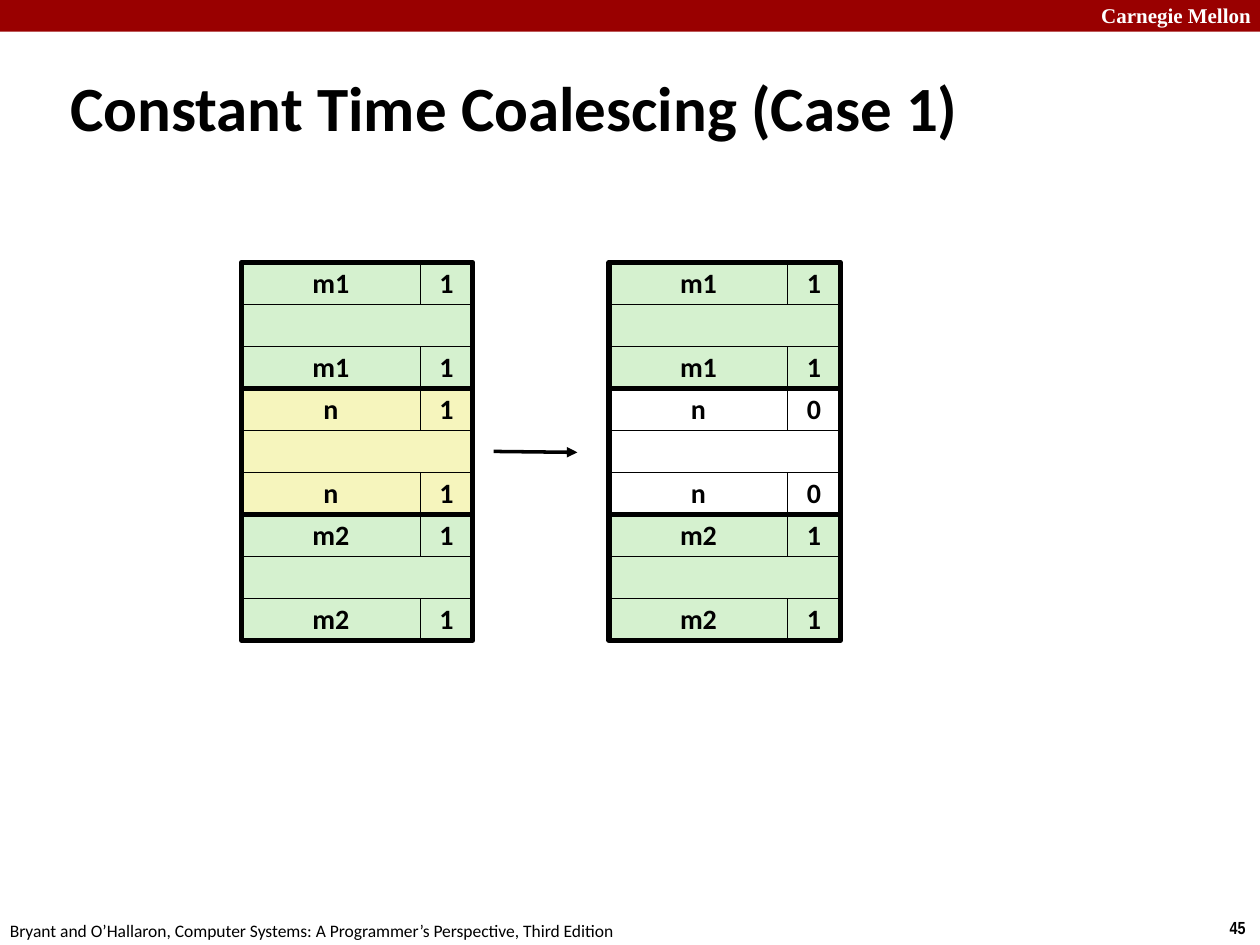
import pptx
import pptx.dml.color
import pptx.enum.shapes
import pptx.enum.text
import pptx.oxml
import pptx.oxml.ns
import pptx.util

Cm = pptx.util.Cm
Pt = pptx.util.Pt
RGBColor = pptx.dml.color.RGBColor
Align = pptx.enum.text.PP_ALIGN
Anchor = pptx.enum.text.MSO_ANCHOR

BLACK = RGBColor(0x00, 0x00, 0x00)
WHITE = RGBColor(0xFF, 0xFF, 0xFF)
BANNER_RED = RGBColor(0x99, 0x00, 0x00)
NEIGHBOUR_GREEN = RGBColor(0xD5, 0xF1, 0xCF)
FREED_YELLOW = RGBColor(0xF6, 0xF5, 0xBD)

HEAP_TOP = 5.29
BLOCK_HEIGHT = 2.54
ROW_HEIGHT = BLOCK_HEIGHT / 3
SIZE_WIDTH = 3.6
FLAG_WIDTH = 1.06
BLOCK_WIDTH = SIZE_WIDTH + FLAG_WIDTH


def write_text(frame, text, size=16, font="Calibri", color=BLACK, bold=True,
               align=Align.LEFT, anchor=Anchor.TOP, wrap=False, spacing=None):
    frame.word_wrap = wrap
    frame.vertical_anchor = anchor
    line = frame.paragraphs[0]
    line.alignment = align
    line.line_spacing = spacing
    run = line.add_run()
    run.text = text
    run.font.size = Pt(size)
    run.font.name = font
    run.font.bold = bold
    run.font.color.rgb = color


def add_label(slide, left, top, width, height, text, **text_format):
    label = slide.shapes.add_textbox(Cm(left), Cm(top), Cm(width), Cm(height))
    write_text(label.text_frame, text, **text_format)


def add_box(slide, left, top, width, height, fill=None, line_width=None):
    box = slide.shapes.add_shape(pptx.enum.shapes.MSO_SHAPE.RECTANGLE,
                                 Cm(left), Cm(top), Cm(width), Cm(height))
    box.shadow.inherit = False
    if fill is None:
        box.fill.background()
    else:
        box.fill.solid()
        box.fill.fore_color.rgb = fill
    if line_width is None:
        box.line.fill.background()
    else:
        box.line.color.rgb = BLACK
        box.line.width = Pt(line_width)
    return box


def add_block(slide, left, top, size, flag, fill):
    for row in (0, 2):
        row_top = top + row * ROW_HEIGHT
        for cell_left, width, text in ((left, SIZE_WIDTH, size),
                                       (left + SIZE_WIDTH, FLAG_WIDTH, flag)):
            cell = add_box(slide, cell_left, row_top, width, ROW_HEIGHT, fill, 0.25)
            write_text(cell.text_frame, text, align=Align.CENTER,
                       anchor=Anchor.MIDDLE, spacing=0.98)
    add_box(slide, left, top + ROW_HEIGHT, BLOCK_WIDTH, ROW_HEIGHT, fill, 0.25)
    add_box(slide, left, top, BLOCK_WIDTH, BLOCK_HEIGHT, line_width=3)


def add_heap(slide, left, middle_flag, middle_fill):
    blocks = (("m1", "1", NEIGHBOUR_GREEN),
              ("n", middle_flag, middle_fill),
              ("m2", "1", NEIGHBOUR_GREEN))
    for index, (size, flag, fill) in enumerate(blocks):
        add_block(slide, left, HEAP_TOP + index * BLOCK_HEIGHT, size, flag, fill)


def add_arrow(slide, start_x, start_y, end_x, end_y):
    arrow = slide.shapes.add_connector(
        pptx.enum.shapes.MSO_CONNECTOR.STRAIGHT,
        Cm(start_x), Cm(start_y), Cm(end_x), Cm(end_y))
    arrow.line.color.rgb = BLACK
    arrow.line.width = Pt(2)
    head = pptx.oxml.parse_xml(
        '<a:tailEnd %s type="triangle"/>' % pptx.oxml.ns.nsdecls("a"))
    arrow.line._get_or_add_ln().append(head)
    no_effects = pptx.oxml.parse_xml(
        "<a:effectLst %s/>" % pptx.oxml.ns.nsdecls("a"))
    arrow._element.spPr.append(no_effects)


def main():
    deck = pptx.Presentation()
    deck.slide_width = Cm(25.4)
    deck.slide_height = Cm(19.05)
    slide = deck.slides.add_slide(deck.slide_layouts[6])

    add_box(slide, 0, 0, 25.4, 0.64, BANNER_RED)
    add_label(slide, 21.95, -0.08, 3.63, 0.76, "Carnegie Mellon", size=12,
              font="Times New Roman", color=WHITE, wrap=True)
    add_label(slide, 1.17, 1.35, 23.06, 1.6, "Constant Time Coalescing (Case 1)",
              size=36, anchor=Anchor.MIDDLE, wrap=True)

    add_heap(slide, 4.87, "1", FREED_YELLOW)
    add_heap(slide, 12.28, "0", WHITE)
    add_arrow(slide, 9.95, 9.1, 11.64, 9.12)

    add_label(slide, -0.05, 18.42, 12.9, 0.69,
              "Bryant and O’Hallaron, Computer Systems: "
              "A Programmer’s Perspective, Third Edition",
              size=10, bold=False)
    add_label(slide, 24.54, 18.36, 0.86, 0.69, "45", size=10, font="Arial Narrow")

    deck.save("out.pptx")


if __name__ == "__main__":
    main()
